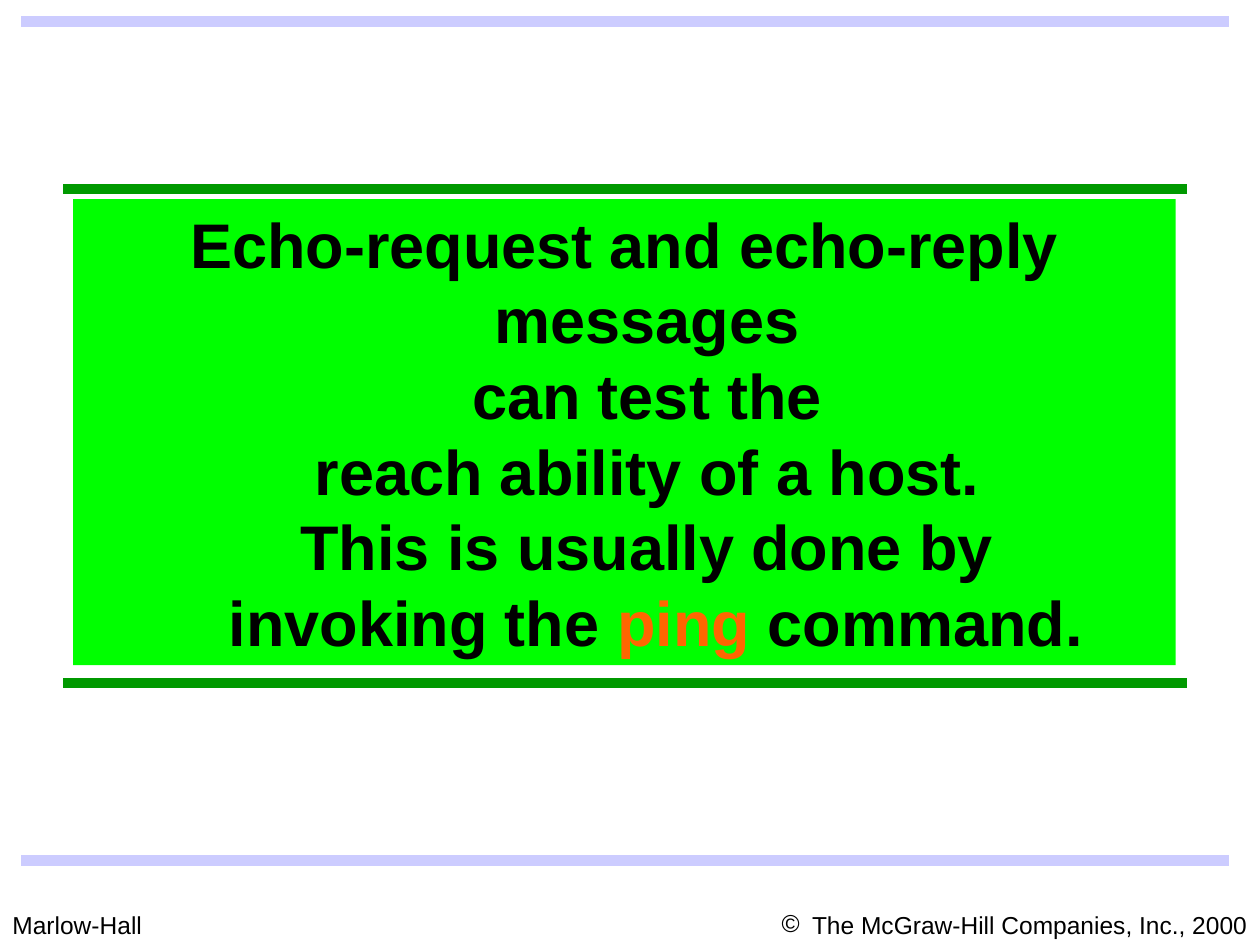
from dataclasses import dataclass

from lxml.etree import SubElement
from pptx import Presentation
from pptx.dml.color import RGBColor
from pptx.enum.shapes import MSO_CONNECTOR as Connector, MSO_SHAPE as Shape
from pptx.enum.text import MSO_ANCHOR as Anchor, PP_ALIGN as Align
from pptx.oxml.ns import qn
from pptx.util import Inches, Pt


@dataclass(frozen=True)
class Theme:
    font: str = "Arial"
    ink: str = "000000"
    accent: str = "FF6600"
    panel: str = "00FF00"
    panel_rule: str = "009900"
    page_rule: str = "CCCCFF"
    statement_size: int = 36
    statement_leading: float = 43.2
    footer_size: int = 14
    rule_width: int = 6


class SlideBuilder:
    def __init__(self, page, theme):
        self.page = page
        self.theme = theme

    def format_span(self, span, size, color, bold=False):
        span.font.name = self.theme.font
        span.font.size = Pt(size)
        span.font.bold = bold
        span.font.color.rgb = RGBColor.from_string(color)

    def hang(self, para, margin, indent):
        properties = para._p.get_or_add_pPr()
        properties.set("marL", str(Inches(margin)))
        properties.set("indent", str(Inches(indent)))
        return properties

    def rule(self, left, right, y, color):
        line = self.page.shapes.add_connector(
            Connector.STRAIGHT, Inches(left), Inches(y), Inches(right), Inches(y))
        line.line.color.rgb = RGBColor.from_string(color)
        line.line.width = Pt(self.theme.rule_width)
        SubElement(line._element.spPr, qn("a:effectLst"))

    def footer(self, left, width, text, align=Align.LEFT, bullet=None):
        box = self.page.shapes.add_textbox(
            Inches(left), Inches(7.17), Inches(width), Inches(0.34))
        box.text_frame.word_wrap = True
        box.text_frame.text = text
        para = box.text_frame.paragraphs[0]
        para.alignment = align
        if bullet:
            properties = self.hang(para, 0.24, -0.24)
            SubElement(properties, qn("a:buFont"), typeface=self.theme.font)
            SubElement(properties, qn("a:buChar"), char=bullet)
        self.format_span(para.runs[0], self.theme.footer_size, self.theme.ink)

    def statement(self, left, top, width, height, lead, keyword, ending):
        box = self.page.shapes.add_shape(
            Shape.RECTANGLE, Inches(left), Inches(top), Inches(width), Inches(height))
        box.shadow.inherit = False
        box.fill.solid()
        box.fill.fore_color.rgb = RGBColor.from_string(self.theme.panel)
        box.line.fill.background()
        frame = box.text_frame
        frame.word_wrap = True
        frame.vertical_anchor = Anchor.TOP
        para = frame.paragraphs[0]
        para.text = lead
        para.alignment = Align.CENTER
        para.line_spacing = Pt(self.theme.statement_leading)
        self.hang(para, 0.5, -0.5)
        for text in (keyword, ending):
            para.add_run().text = text
        for span in para.runs:
            color = self.theme.accent if span.text == keyword else self.theme.ink
            self.format_span(span, self.theme.statement_size, color, bold=True)


def main():
    deck = Presentation()
    deck.slide_width, deck.slide_height = Inches(10), Inches(7.5)
    theme = Theme()
    builder = SlideBuilder(deck.slides.add_slide(deck.slide_layouts[6]), theme)

    builder.footer(0, 2.42, "Marlow-Hall")
    builder.footer(5, 5, "The McGraw-Hill Companies, Inc., 2000", Align.RIGHT, "©")
    for y in (0.17, 6.83):
        builder.rule(0.17, 9.75, y, theme.page_rule)

    lead = "\v".join((
        "Echo-request and echo-reply messages ",
        "can test the ",
        "reach ability of a host. ",
        "This is usually done by ",
        "invoking the ",
    ))
    builder.statement(0.58, 1.58, 8.75, 3.7, lead, "ping", " command.")
    for y in (1.5, 5.42):
        builder.rule(0.5, 9.42, y, theme.panel_rule)

    deck.save("out.pptx")


if __name__ == "__main__":
    main()
